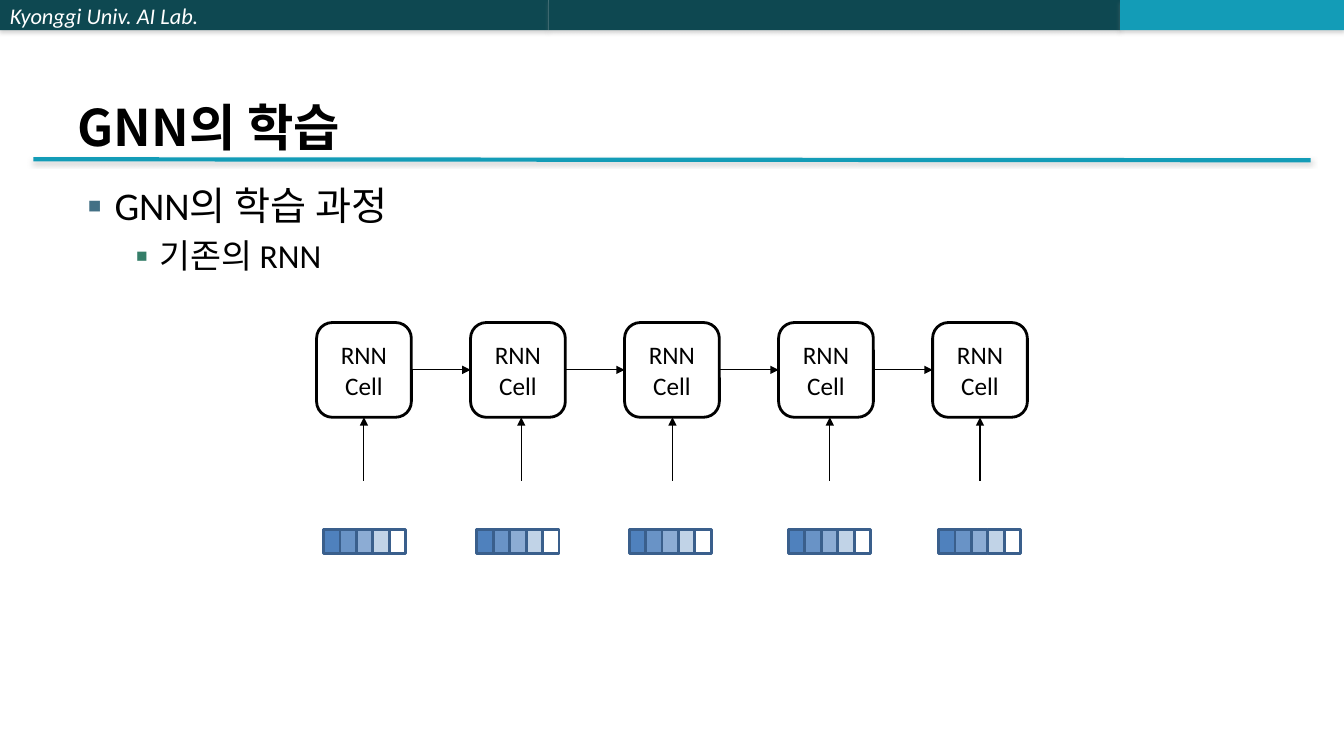
from dataclasses import dataclass

import pptx
import pptx.dml.color
import pptx.enum.shapes
import pptx.enum.text
import pptx.oxml
import pptx.oxml.ns
import pptx.util
from lxml import etree
from pptx.util import Inches, Pt

RGBColor = pptx.dml.color.RGBColor
MSO_SHAPE = pptx.enum.shapes.MSO_SHAPE
PP_ALIGN = pptx.enum.text.PP_ALIGN
MSO_ANCHOR = pptx.enum.text.MSO_ANCHOR
qn = pptx.oxml.ns.qn

BLACK = RGBColor(0x00, 0x00, 0x00)
WHITE = RGBColor(0xFF, 0xFF, 0xFF)
DARK_TEAL = RGBColor(0x0E, 0x48, 0x51)
CYAN = RGBColor(0x13, 0x9C, 0xB7)
BULLET_BLUE = RGBColor(0x43, 0x70, 0x85)
BULLET_GREEN = RGBColor(0x35, 0x7E, 0x69)
FEATURE_BLUE = RGBColor(0x4F, 0x81, 0xBD)
FEATURE_EDGE = RGBColor(0x3A, 0x5F, 0x8C)
LATIN, KOREAN = "Calibri", "Noto Sans CJK KR"

CELL_LEFT, CELL_TOP, CELL_SIZE = 3.14, 3.2, 0.94
CELL_PITCH = (9.25 - CELL_LEFT) / 4
FEATURE_TOP, FEATURE_PITCH, FEATURE_HEIGHT = 5.25, 0.163, 0.24
FEATURE_ALPHAS = (100, 85, 65, 35, 0)


@dataclass
class Band:
    left: float
    width: float
    color: RGBColor


@dataclass
class Bullet:
    text: str
    size: int
    level: int
    margin: float
    hang: float
    color: RGBColor
    before: float


@dataclass
class TimeStep:
    arrow_x: float
    feature_left: float


BANDS = [Band(0, 5.44, DARK_TEAL), Band(5.44, 5.67, DARK_TEAL),
         Band(11.11, 2.22, CYAN)]
BULLETS = [Bullet("GNN의 학습 과정", 28, 0, 0.38, 0.38, BULLET_BLUE, 0),
           Bullet("기존의 RNN", 24, 1, 0.81, 0.31, BULLET_GREEN, 4.8)]
STEPS = [TimeStep(3.61, 3.21), TimeStep(5.17, 4.73), TimeStep(6.67, 6.24),
         TimeStep(8.23, 7.82), TimeStep(9.72, 9.31)]


def add_xml(parent, tag: str, **attrs):
    return etree.SubElement(parent, qn(tag), attrs)


def write(p, text: str, *, size: float, font: str = LATIN,
          color: RGBColor = BLACK, bold: bool = False, italic: bool = False,
          align=PP_ALIGN.LEFT, before: float = 0) -> None:
    p.alignment = align
    p.space_before = Pt(before)
    r = p.add_run()
    r.text = text
    f = r.font
    f.size, f.name, f.bold, f.italic = Pt(size), font, bold, italic
    f.color.rgb = color
    add_xml(r._r.get_or_add_rPr(), "a:ea", typeface=KOREAN)


def add_box(shapes, kind, left: float, top: float, width: float, height: float,
            fill: RGBColor, edge: RGBColor | None = None, alpha: int = 100):
    sp = shapes.add_shape(kind, Inches(left), Inches(top),
                          Inches(width), Inches(height))
    sp.shadow.inherit = False
    if alpha:
        sp.fill.solid()
        sp.fill.fore_color.rgb = fill
        if alpha < 100:
            rgb = sp._element.spPr.find(".//" + qn("a:srgbClr"))
            add_xml(rgb, "a:alpha", val=str(alpha * 1000))
    else:
        sp.fill.background()
    if edge is None:
        sp.line.fill.background()
    else:
        sp.line.color.rgb = edge
        sp.line.width = Pt(2)
    return sp


def add_line(shapes, x1: float, y1: float, x2: float, y2: float,
             color: RGBColor = BLACK, width: float = 0.75, arrow: bool = True):
    cx = shapes.add_connector(pptx.enum.shapes.MSO_CONNECTOR.STRAIGHT,
                              Inches(x1), Inches(y1), Inches(x2), Inches(y2))
    cx.line.color.rgb = color
    cx.line.width = Pt(width)
    if arrow:
        add_xml(cx.line._get_or_add_ln(), "a:tailEnd", type="triangle")
    add_xml(cx._element.spPr, "a:effectLst")
    return cx


def add_shadow(sp, alpha: int, distance: float) -> None:
    effects = sp._element.spPr.find(qn("a:effectLst"))
    shadow = add_xml(effects, "a:outerShdw", blurRad=str(Pt(3.1)),
                     dist=str(Pt(distance)), dir="5400000", rotWithShape="0")
    rgb = add_xml(shadow, "a:srgbClr", val="808080")
    add_xml(rgb, "a:alpha", val=str(alpha * 1000))


def add_header(s) -> None:
    for i, band in enumerate(BANDS):
        sp = add_box(s.shapes, MSO_SHAPE.RECTANGLE, band.left, 0, band.width,
                     0.3, band.color)
        add_shadow(sp, 35, 1.8)
        if i == 0:
            sp.text_frame.vertical_anchor = MSO_ANCHOR.MIDDLE
            write(sp.text_frame.paragraphs[0], "Kyonggi Univ. AI Lab.",
                  size=16, color=WHITE, italic=True)
    rule = add_line(s.shapes, 0.33, 1.58, 13, 1.59, CYAN, 3, arrow=False)
    add_shadow(rule, 38, 1.6)


def add_title(s) -> None:
    sp = s.shapes.title
    sp.left, sp.top = Inches(0.67), Inches(0.3)
    sp.width, sp.height = Inches(12), Inches(1.25)
    tf = sp.text_frame
    tf.auto_size = pptx.enum.text.MSO_AUTO_SIZE.NONE
    tf.vertical_anchor = MSO_ANCHOR.BOTTOM
    tf.margin_bottom = 0
    write(tf.paragraphs[0], "GNN의 학습", size=36, font=KOREAN, bold=True)


def add_bullets(s) -> None:
    tf = s.shapes.add_textbox(Inches(0.65), Inches(1.75), Inches(12),
                              Inches(5.42)).text_frame
    tf.word_wrap = True
    for i, bullet in enumerate(BULLETS):
        p = tf.add_paragraph() if i else tf.paragraphs[0]
        p.level = bullet.level
        pPr = p._p.get_or_add_pPr()
        pPr.set("marL", str(Inches(bullet.margin)))
        pPr.set("indent", str(-Inches(bullet.hang)))
        add_xml(add_xml(pPr, "a:buClr"), "a:srgbClr", val=str(bullet.color))
        add_xml(pPr, "a:buFont", typeface=KOREAN)
        add_xml(pPr, "a:buChar", char="▪")
        write(p, bullet.text, size=bullet.size, before=bullet.before)


def add_rnn_cell(s, left: float) -> None:
    sp = add_box(s.shapes, MSO_SHAPE.ROUNDED_RECTANGLE, left, CELL_TOP,
                 CELL_SIZE, CELL_SIZE, WHITE, BLACK)
    tf = sp.text_frame
    tf.vertical_anchor = MSO_ANCHOR.MIDDLE
    write(tf.paragraphs[0], "RNN", size=18, align=PP_ALIGN.CENTER)
    write(tf.add_paragraph(), "Cell", size=18, align=PP_ALIGN.CENTER)


def add_feature_vector(s, left: float) -> None:
    group = s.shapes.add_group_shape()
    for i, alpha in enumerate(FEATURE_ALPHAS):
        add_box(group.shapes, MSO_SHAPE.RECTANGLE, left + i * FEATURE_PITCH,
                FEATURE_TOP, FEATURE_PITCH, FEATURE_HEIGHT, FEATURE_BLUE,
                FEATURE_EDGE, alpha)


def main() -> None:
    prs = pptx.Presentation()
    prs.slide_width, prs.slide_height = Inches(13.33), Inches(7.5)
    s = prs.slides.add_slide(prs.slide_layouts[5])
    add_header(s)
    add_title(s)
    add_bullets(s)
    middle, bottom = CELL_TOP + CELL_SIZE / 2, CELL_TOP + CELL_SIZE
    for i, step in enumerate(STEPS):
        left = CELL_LEFT + i * CELL_PITCH
        add_rnn_cell(s, left)
        if i:
            add_line(s.shapes, left - CELL_PITCH + CELL_SIZE, middle, left, middle)
        add_line(s.shapes, step.arrow_x, 4.77, step.arrow_x, bottom)
        add_feature_vector(s, step.feature_left)
    prs.save("out.pptx")


if __name__ == "__main__":
    main()
